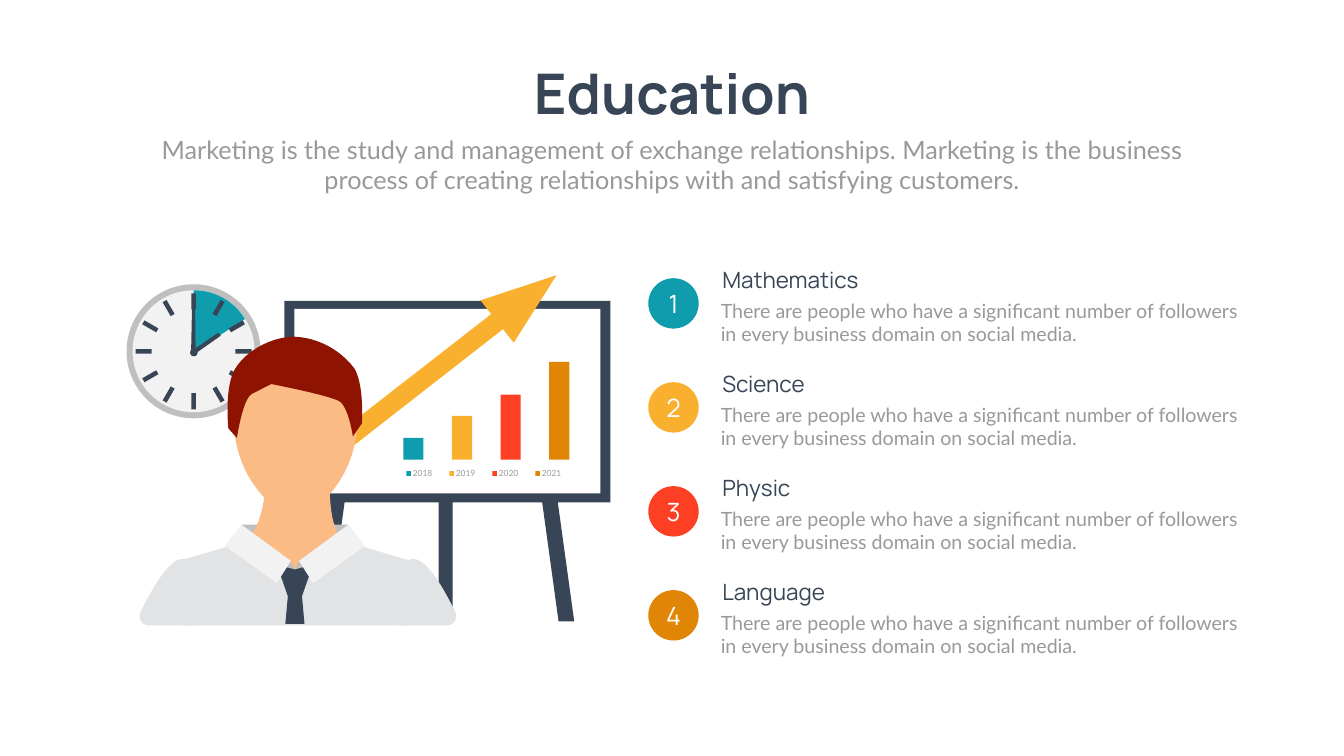
from math import cos, radians, sin

from pptx import Presentation
from pptx.dml.color import RGBColor
from pptx.enum.shapes import MSO_SHAPE
from pptx.enum.text import MSO_ANCHOR, PP_ALIGN
from pptx.util import Inches, Pt

# Every length is a number of columns or rows of this square grid
CELL = Inches(0.1)
COLS, ROWS = 266.6, 150

PAPER = RGBColor(0xFE, 0xFF, 0xFE)
WHITE = RGBColor(0xFF, 0xFF, 0xFF)
NAVY = RGBColor(0x37, 0x45, 0x56)
GREY = RGBColor(0x99, 0x99, 0x99)
SILVER = RGBColor(0xBF, 0xBF, 0xBF)
PALE = RGBColor(0xF2, 0xF2, 0xF2)
SHIRT = RGBColor(0xE2, 0xE3, 0xE5)
SKIN = RGBColor(0xFA, 0xBB, 0x85)
HAIR = RGBColor(0x8F, 0x13, 0x01)
TEAL = RGBColor(0x0F, 0x9D, 0xAD)
AMBER = RGBColor(0xFA, 0xB0, 0x2F)
RED = RGBColor(0xFD, 0x40, 0x24)
OCHRE = RGBColor(0xE0, 0x85, 0x05)
ACCENTS = (TEAL, AMBER, RED, OCHRE)

BODY = ("There are people who have a significant number of followers "
        "in every business domain on social media.")
INTRO = ("Marketing is the study and management of exchange relationships. "
         "Marketing is the business process of creating relationships with "
         "and satisfying customers.")


def cells(*values):
    return [round(v * CELL) for v in values]


def paint(sp, color):
    sp.shadow.inherit = False
    sp.fill.solid()
    sp.fill.fore_color.rgb = color
    sp.line.fill.background()
    return sp


def add_preset(s, kind, x, y, w, h, color):
    return paint(s.shapes.add_shape(kind, *cells(x, y, w, h)), color)


def add_outline(s, x, y, path, color, steps=12):
    """Draw a closed path from (x, y); six numbers in a step make a Bézier curve."""
    points = [path[0]]
    for step in path[1:]:
        if len(step) == 2:
            points.append(step)
            continue
        ctrl = [points[-1], step[:2], step[2:4], step[4:]]
        for i in range(1, steps + 1):
            t = i / steps
            weights = ((1 - t) ** 3, 3 * t * (1 - t) ** 2, 3 * t * t * (1 - t), t ** 3)
            points.append(tuple(sum(k * c[axis] for k, c in zip(weights, ctrl))
                                for axis in (0, 1)))
    points = [tuple(cells(x + px, y + py)) for px, py in points]
    builder = s.shapes.build_freeform(*points[0], scale=1.0)
    builder.add_line_segments(points[1:], close=True)
    return paint(builder.convert_to_shape(), color)


def mirror(path, shift=0):
    return [tuple(shift - v if i % 2 == 0 else v for i, v in enumerate(step))
            for step in path]


def set_text(sp, text, size, font, color, align=PP_ALIGN.LEFT,
             anchor=MSO_ANCHOR.TOP, bold=False):
    tf = sp.text_frame
    tf.word_wrap = True
    tf.vertical_anchor = anchor
    p = tf.paragraphs[0]
    p.text = text
    p.alignment = align
    p.font.size, p.font.name, p.font.bold = Pt(size), font, bold
    p.font.color.rgb = color


def add_text(s, x, y, w, h, *args, **kwargs):
    set_text(s.shapes.add_textbox(*cells(x, y, w, h)), *args, **kwargs)


def add_heading(s, x, y, w, h):
    title = s.shapes.title
    title.left, title.top, title.width, title.height = cells(x + w / 2 - 30.15, y, 60.3, 14.5)
    set_text(title, "Education", 80, "Manrope", NAVY, PP_ALIGN.CENTER, bold=True)
    add_text(s, x, y + 14.9, w, h - 14.9, INTRO, 36, "Lato", GREY, PP_ALIGN.CENTER)


def add_clock(s, x, y, size):
    cx, cy = x + size / 2, y + size / 2
    for radius, color in ((size / 2, SILVER), (size / 2 - 1.2, PALE)):
        add_preset(s, MSO_SHAPE.OVAL, cx - radius, cy - radius, 2 * radius, 2 * radius, color)
    # Two-hour sector
    add_outline(s, cx, cy, [(0, -12.1), (0, 0.2), (10.2, -6.4),
                            (8, -10, 4.2, -12.1, 0, -12.1)], TEAL)
    # Hour marks
    for angle in range(0, 360, 30):
        mx, my = cx + 9.9 * sin(radians(angle)), cy - 9.9 * cos(radians(angle))
        mark = add_preset(s, MSO_SHAPE.RECTANGLE, mx - 0.45, my - 1.6, 0.9, 3.2, NAVY)
        mark.rotation = angle
    # Hands and pivot
    add_outline(s, cx, cy, [(-0.3, -9.1), (-0.5, 0.3), (0.4, 0.3), (0.3, -9.1)], NAVY)
    add_outline(s, cx, cy, [(-0.2, -0.2), (0.3, 0.5), (5.4, -3.1), (4.9, -3.7)], NAVY)
    add_preset(s, MSO_SHAPE.OVAL, cx - 0.7, cy - 0.5, 1.5, 1.5, NAVY)


def add_board(s, x, y, w, h):
    rect = MSO_SHAPE.RECTANGLE
    # Legs
    leg = [(51, 38.9), (54.4, h), (57.5, h), (54.1, 38.9)]
    for path in (leg, mirror(leg, 63.1)):
        add_outline(s, x, y, path, NAVY)
    add_preset(s, rect, x + 30.6, y + 38.9, 2.8, h - 38.9, NAVY)
    # Frame and sheet
    add_preset(s, rect, x, y, w, 40, NAVY)
    add_preset(s, rect, x + 2, y + 1.6, w - 4, 36.6, WHITE)
    # Rising arrow
    add_outline(s, x, y, [(2, 33), (41.2, 2.5), (43.5, 5.5), (4.4, 36)], AMBER)
    add_outline(s, x, y, [(45.5, 8.3), (54, -5.1), (38.9, -0.1)], AMBER)
    # Bars and their key
    for i, (bar, color) in enumerate(zip((4.3, 8.7, 12.9, 19.4), ACCENTS)):
        add_preset(s, rect, x + 23.6 + 9.65 * i, y + 31.5 - bar, 4, bar, color)
        key = x + 24.2 + 8.53 * i
        add_preset(s, rect, key, y + 33.8, 0.9, 0.9, color)
        add_text(s, key + 0.3, y + 32.6, 5.9, 3, str(2018 + i), 12, "Lato", GREY)


def add_teacher(s, x, y, w):
    cx = x + w / 2
    arm = [(-22.3, 44.1), (-24.7, 44.1, -27.7, 48.7, -30.6, 54.6),
           (-31, 55.5, -30.7, 56.6, -29.8, 57.1), (-29.5, 57.2, -29.2, 57.3, -28.9, 57.3),
           (-19.5, 57.3), (-19.2, 53.7, -19.4, 50.1, -20.1, 46.6),
           (-20.6, 45.1, -21.3, 44.1, -22.3, 44.1)]
    neck = [(6.9, 27.3), (7, 24.3, -5.7, 24, -5.7, 26.9),
            (-5.9, 38, -9.5, 40.2, -9.5, 40.2), (-9.5, 40.2, -9.9, 50, -7.3, 57),
            (7.5, 57), (9.8, 50, 9.5, 40.2, 9.5, 40.2),
            (9.5, 40.2, 6.6, 39.1, 6.9, 27.3)]
    torso = [(-9.5, 40.5), (-23.7, 44.7), (-22.3, 57.3), (0, 57.3), (0, 46.4),
             (-3.6, 45.2, -6.8, 43.2, -9.5, 40.5)]
    fold = [(-1.7, 44.2), (-3.6, 45.1), (0, 46.3), (-0.8, 44.6)]
    tie = [(-3.6, 45.2), (0, 46.2), (3.6, 45.2), (1.4, 51.5),
           (1.9, 57), (-1.9, 57), (-1.4, 51.5)]
    face = [(0.2, 3.1), (-6.6, 3.1, -13, 10.2, -12, 18.9),
            (-11.1, 28.1, -4.4, 35.3, 0.2, 35.3), (4.7, 35.3, 11.3, 27.9, 12.3, 18.9),
            (13.3, 10.2, 6.9, 3.1, 0.2, 3.1)]
    hair = [(-0.1, 0), (-5.3, 0, -10.9, 3.6, -12.4, 7.5),
            (-13.9, 11.5, -13.2, 18.2, -13.2, 18.2), (-11.5, 20.1),
            (-11.5, 20.1, -10.4, 12.5, -8.6, 11.4), (-4.7, 9.4),
            (-4.7, 9.4, 7.8, 11.8, 9.1, 13), (10.8, 14.7, 11.5, 19.8, 11.5, 19.8),
            (13.3, 17.2), (13.3, 17.2, 13.8, 9.6, 11.8, 6.3),
            (9, 2.6, 4.6, 0.2, -0.1, 0)]
    collar = [(-13.9, 41.5), (-3.6, 48.9), (-0.8, 44.5), (-10.6, 37.3)]

    # Back of the collar, then the parts from back to front
    add_preset(s, MSO_SHAPE.RECTANGLE, cx - 10.6, y + 37.3, 21.2, 5.8, SILVER)
    for path, color in ((arm, SHIRT), (neck, SKIN), (mirror(arm, 1.2), SHIRT),
                        (mirror(torso), SHIRT), (torso, SHIRT),
                        (fold, SILVER), (mirror(fold), SILVER), (tie, NAVY),
                        (face, SKIN), (hair, HAIR),
                        (collar, PALE), (mirror(collar), PALE)):
        add_outline(s, cx, y, path, color)


def add_subjects(s, x, y, w, pitch):
    names = ("Mathematics", "Science", "Physic", "Language")
    for i, (name, color) in enumerate(zip(names, ACCENTS)):
        top = y + i * pitch
        badge = add_preset(s, MSO_SHAPE.OVAL, x, top + 2.9, 10, 10, color)
        set_text(badge, str(i + 1), 36, "Manrope", WHITE, PP_ALIGN.CENTER, MSO_ANCHOR.MIDDLE)
        add_text(s, x + 13.7, top, 53.5, 6.4, name, 32, "Manrope", NAVY)
        add_text(s, x + 13.4, top + 6.5, w - 13.4, 10.4, BODY, 28, "Lato", GREY)


def main():
    prs = Presentation()
    prs.slide_width, prs.slide_height = cells(COLS, ROWS)
    s = prs.slides.add_slide(prs.slide_layouts[5])
    s.background.fill.solid()
    s.background.fill.fore_color.rgb = PAPER
    add_heading(s, 29.2, 11.2, 208.2, 28)
    add_clock(s, 25.1, 56.4, 26.6)
    add_board(s, 56.4, 59.7, 64.7, 63.6)
    add_teacher(s, 27.5, 66.8, 62)
    add_subjects(s, 128.6, 52.3, 119.1, 20.63)
    prs.save("out.pptx")


if __name__ == "__main__":
    main()
